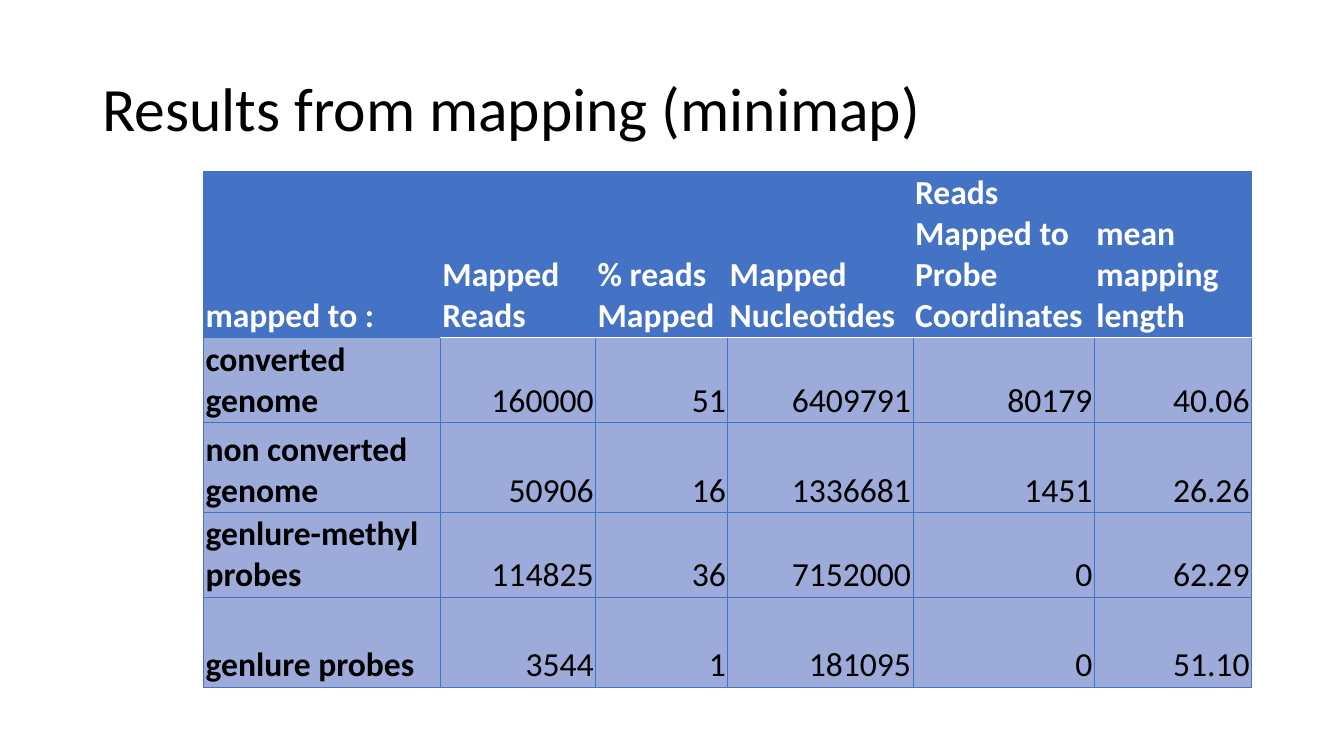
from dataclasses import dataclass
from lxml.etree import SubElement
from pptx import Presentation
from pptx.dml.color import RGBColor
from pptx.enum.text import MSO_ANCHOR, PP_ALIGN
from pptx.oxml.ns import qn
from pptx.util import Cm, Pt


@dataclass
class Theme:
    font: str = "Calibri"
    ink: str = "000000"
    light: str = "FFFFFF"
    blue: str = "4472C4"
    pale: str = "9CABD9"
    title: int = 44
    body: int = 24


HEAD = [
    "mapped to :", "Mapped Reads", "% reads Mapped", "Mapped Nucleotides",
    "Reads Mapped to Probe Coordinates", "mean mapping length",
]
ROWS = [
    ["converted genome", "160000", "51", "6409791", "80179", "40.06"],
    ["non converted genome", "50906", "16", "1336681", "1451", "26.26"],
    ["genlure-methyl probes", "114825", "36", "7152000", "0", "62.29"],
    ["genlure probes", "3544", "1", "181095", "0", "51.10"],
]
WIDTHS = [5.97, 3.91, 3.33, 4.67, 4.57, 3.96]
HEIGHTS = [4.19, 2.14, 2.26, 2.14, 2.26]


def write(frame, text, font, size, color, bold=False, align=PP_ALIGN.LEFT, space=1.0):
    frame.word_wrap = True
    para = frame.paragraphs[0]
    para.alignment = align
    para.line_spacing = space
    run = para.add_run()
    run.text = text
    run.font.name = font
    run.font.size = Pt(size)
    run.font.bold = bold
    run.font.color.rgb = RGBColor.from_string(color)


def edge(cell, side, color, width):
    props = cell._tc.get_or_add_tcPr()
    line = SubElement(props, qn(f"a:ln{side}"), w=str(Pt(width)))
    fill = SubElement(line, qn("a:solidFill"))
    SubElement(fill, qn("a:srgbClr"), val=color)


class Deck:
    def __init__(self, theme):
        self.theme = theme
        self.file = Presentation()
        self.file.slide_width = Cm(33.87)
        self.file.slide_height = Cm(19.05)
        self.slide = self.file.slides.add_slide(self.file.slide_layouts[6])

    def title(self, text, left, top, width, height):
        box = self.slide.shapes.add_textbox(Cm(left), Cm(top), Cm(width), Cm(height))
        box.text_frame.vertical_anchor = MSO_ANCHOR.MIDDLE
        look = self.theme
        write(box.text_frame, text, look.font, look.title, look.ink, space=0.9)

    def cell(self, cell, text, row, col):
        look = self.theme
        head, first = row == 0, col == 0
        cell.margin_left = cell.margin_right = Cm(0.05)
        cell.margin_top = cell.margin_bottom = Cm(0.03)
        cell.vertical_anchor = MSO_ANCHOR.BOTTOM
        rule = (look.light, 1) if not first else (look.blue, 0.5)
        thin = (look.blue, 0.5)
        edge(cell, "L", *thin)
        edge(cell, "R", *thin)
        edge(cell, "T", *(rule if row == 1 else thin))
        edge(cell, "B", *(rule if head else thin))
        cell.fill.solid()
        cell.fill.fore_color.rgb = RGBColor.from_string(look.blue if head else look.pale)
        write(
            cell.text_frame, text, look.font, look.body,
            look.light if head else look.ink,
            bold=head or first,
            align=PP_ALIGN.LEFT if head or first else PP_ALIGN.RIGHT,
        )

    def table(self, data, left, top, widths, heights):
        table = self.slide.shapes.add_table(
            len(data), len(widths), Cm(left), Cm(top), Cm(sum(widths)), Cm(sum(heights))
        ).table
        for col, width in zip(table.columns, widths):
            col.width = Cm(width)
        for row, height in zip(table.rows, heights):
            row.height = Cm(height)
        for row, line in enumerate(data):
            for col, text in enumerate(line):
                self.cell(table.cell(row, col), text, row, col)


def main():
    deck = Deck(Theme())
    deck.title("Results from mapping (minimap)", 2.33, 0.97, 29.21, 3.68)
    deck.table([HEAD] + ROWS, 5.13, 4.32, WIDTHS, HEIGHTS)
    deck.file.save("out.pptx")


if __name__ == "__main__":
    main()
